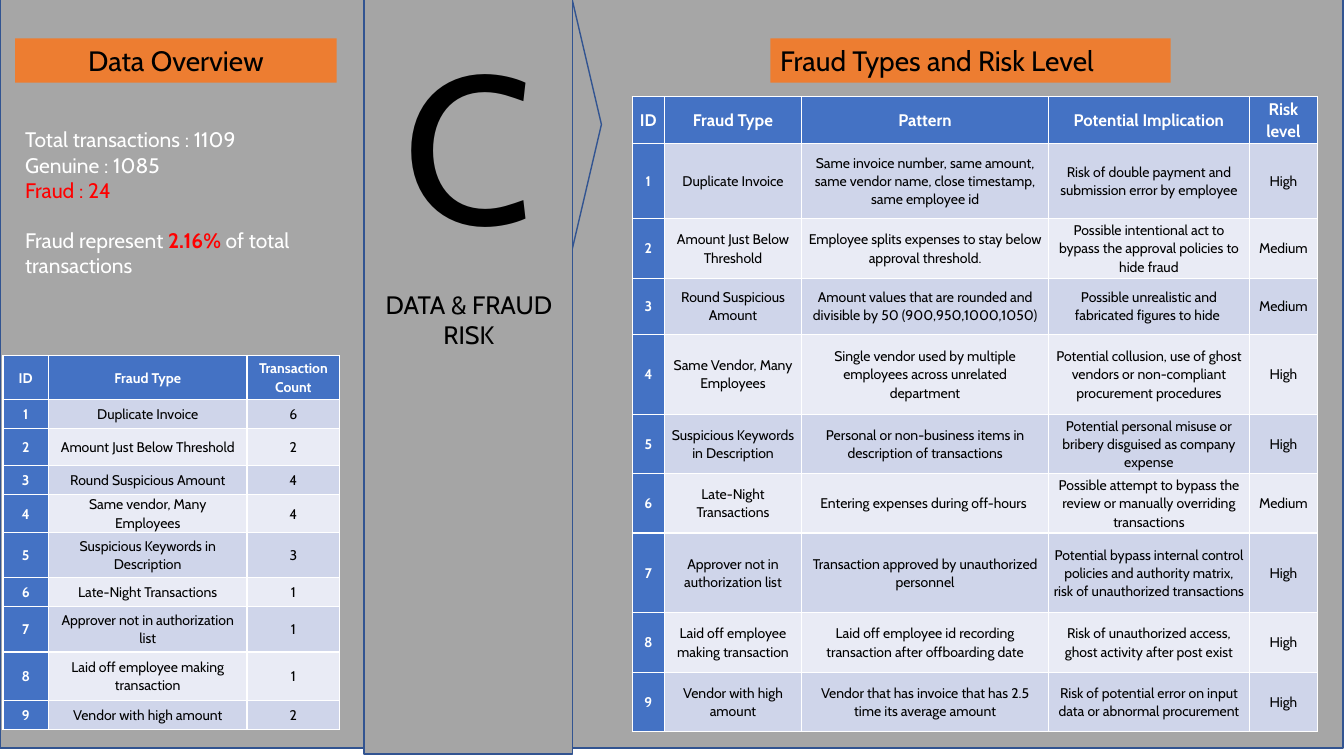
import pptx
import pptx.util
import pptx.dml.color
import pptx.enum.shapes
import pptx.enum.text

Inches = pptx.util.Inches
Shape = pptx.enum.shapes.MSO_SHAPE
Align = pptx.enum.text.PP_ALIGN
Anchor = pptx.enum.text.MSO_ANCHOR
HEX = {
    "grey": "A6A6A6", "panel": "A5A5A5", "edge": "325491", "orange": "ED7D31",
    "blue": "4472C4", "dark": "CFD5EA", "light": "E9EBF5",
    "black": "000000", "white": "FFFFFF", "red": "FF0000",
}
COLOR = {name: pptx.dml.color.RGBColor.from_string(code) for name, code in HEX.items()}


def style(para, size, color, bold=False, align=Align.CENTER):
    para.alignment = align
    for run in para.runs:
        run.font.name = "Cabin"
        run.font.size = pptx.util.Pt(size)
        run.font.bold = bold
        run.font.color.rgb = COLOR[color]


def label(at, text):
    box = slide.shapes.add_textbox(*map(Inches, at))
    box.text_frame.word_wrap = True
    box.text_frame.text = text
    return box


deck = pptx.Presentation()
deck.slide_width = Inches(13.33)
deck.slide_height = Inches(7.5)
slide = deck.slides.add_slide(deck.slide_layouts[5])

# Backdrop, pointer and middle panel
for kind, at, fill, turn in [
    (Shape.RECTANGLE, (0, -0.04, 13.32, 7.46), "grey", 0),
    (Shape.ISOSCELES_TRIANGLE, (4.58, 1.09, 2.48, 0.29), "grey", 90),
    (Shape.RECTANGLE, (3.61, -0.03, 2.07, 7.51), "panel", 0),
]:
    shape = slide.shapes.add_shape(kind, *map(Inches, at))
    shape.rotation = turn
    shape.shadow.inherit = False
    shape.fill.solid()
    shape.fill.fore_color.rgb = COLOR[fill]
    shape.line.color.rgb = COLOR["edge"]
    shape.line.width = pptx.util.Pt(1)

# Section letter and title
letter = label((3.61, 0.09, 2.07, 2.63), "C")
style(letter.text_frame.paragraphs[0], 150, "black")

title = slide.shapes.title
title.left, title.top, title.width, title.height = map(Inches, (3.69, 2.82, 1.92, 0.71))
title.text_frame.text = "DATA & FRAUD RISK"
title.text_frame.word_wrap = True
title.text_frame.auto_size = pptx.enum.text.MSO_AUTO_SIZE.NONE
title.text_frame.vertical_anchor = Anchor.TOP
style(title.text_frame.paragraphs[0], 18, "black")
title.element.getparent().append(title.element)  # bring in front of the panel

# Orange headings
for left, width, text, align in [
    (0.15, 3.19, "Data Overview", Align.CENTER),
    (7.64, 3.97, "Fraud Types and Risk Level", Align.LEFT),
]:
    head = label((left, 0.38, width, 0.44), text)
    head.fill.solid()
    head.fill.fore_color.rgb = COLOR["orange"]
    style(head.text_frame.paragraphs[0], 20, "black", align=align)

# Totals
totals = label((0.15, 1.21, 3.22, 1.62),
               "Total transactions : 1109\nGenuine : 1085\nFraud : 24")
share = totals.text_frame.add_paragraph()
share.space_before = pptx.util.Pt(18)
for part in ["Fraud represent ", "2.16%", " of total transactions"]:
    share.add_run().text = part
for para, color in zip(totals.text_frame.paragraphs, ["white", "white", "red", "white"]):
    style(para, 15, color, align=Align.LEFT)
share.runs[1].font.bold = True
share.runs[1].font.color.rgb = COLOR["red"]

# Table contents; the ID column is numbered by rule
risks = [
    ("Fraud Type", "Pattern", "Potential Implication", "Risk level"),
    ("Duplicate Invoice",
     "Same invoice number, same amount, same vendor name, close timestamp, same employee id",
     "Risk of double payment and submission error by employee", "High"),
    ("Amount Just Below Threshold",
     "Employee splits expenses to stay below approval threshold.",
     "Possible intentional act to bypass the approval policies to hide fraud", "Medium"),
    ("Round Suspicious Amount",
     "Amount values that are rounded and divisible by 50 (900,950,1000,1050)",
     "Possible unrealistic and fabricated figures to hide ", "Medium"),
    ("Same Vendor, Many Employees",
     "Single vendor used by multiple employees across unrelated department",
     "Potential collusion, use of ghost vendors or non-compliant procurement procedures",
     "High"),
    ("Suspicious Keywords in Description",
     "Personal or non-business items in description of transactions",
     "Potential personal misuse or bribery disguised as company expense", "High"),
    ("Late-Night Transactions", "Entering expenses during off-hours ",
     "Possible attempt to bypass the review or manually overriding transactions", "Medium"),
    ("Approver not in authorization list",
     "Transaction approved by unauthorized personnel",
     "Potential bypass internal control policies and authority matrix, "
     "risk of unauthorized transactions", "High"),
    ("Laid off employee making transaction",
     "Laid off employee id recording transaction after offboarding date",
     "Risk of unauthorized access, ghost activity after post exist", "High"),
    ("Vendor with high amount",
     "Vendor that has invoice that has 2.5 time its average amount",
     "Risk of potential error on input data or abnormal procurement", "High"),
]
counts = [
    ("Fraud Type", "Transaction Count"),
    ("Duplicate Invoice", "6"),
    ("Amount Just Below Threshold", "2"),
    ("Round Suspicious Amount", "4"),
    ("Same vendor, Many Employees", "4"),
    ("Suspicious Keywords in Description", "3"),
    ("Late-Night Transactions", "1"),
    ("Approver not in authorization list", "1"),
    ("Laid off employee making transaction", "1"),
    ("Vendor with high amount", "2"),
]

# Both tables
for at, rows, widths, heights, pad, top in [
    ((6.27, 0.96, 6.81, 6.29), risks, (0.32, 1.36, 2.45, 1.99, 0.68),
     (0.46, 0.75, 0.59, 0.56, 0.79, 0.59, 0.59, 0.79, 0.59, 0.59), 0.05, 12),
    ((0.03, 3.53, 3.34, 3.72), counts, (0.45, 1.97, 0.92),
     (0.43, 0.29, 0.37, 0.29, 0.37, 0.45, 0.29, 0.45, 0.48, 0.29), 0.07, 10),
]:
    table = slide.shapes.add_table(len(rows), len(widths), *map(Inches, at)).table
    table.first_col = True
    for col, width in zip(table.columns, widths):
        col.width = Inches(width)
    for r, (row, height) in enumerate(zip(rows, heights)):
        table.rows[r].height = Inches(height)
        for c, text in enumerate((str(r) if r else "ID", *row)):
            cell = table.cell(r, c)
            key = r == 0 or c == 0
            cell.text_frame.text = text
            cell.vertical_anchor = Anchor.MIDDLE
            cell.margin_left = cell.margin_right = Inches(pad)
            cell.margin_top = cell.margin_bottom = 0
            cell.fill.solid()
            cell.fill.fore_color.rgb = COLOR["blue" if key else "dark" if r % 2 else "light"]
            para = cell.text_frame.paragraphs[0]
            para.line_spacing = 1.07
            style(para, 10 if r else top, "white" if key else "black", key)

deck.save("out.pptx")
